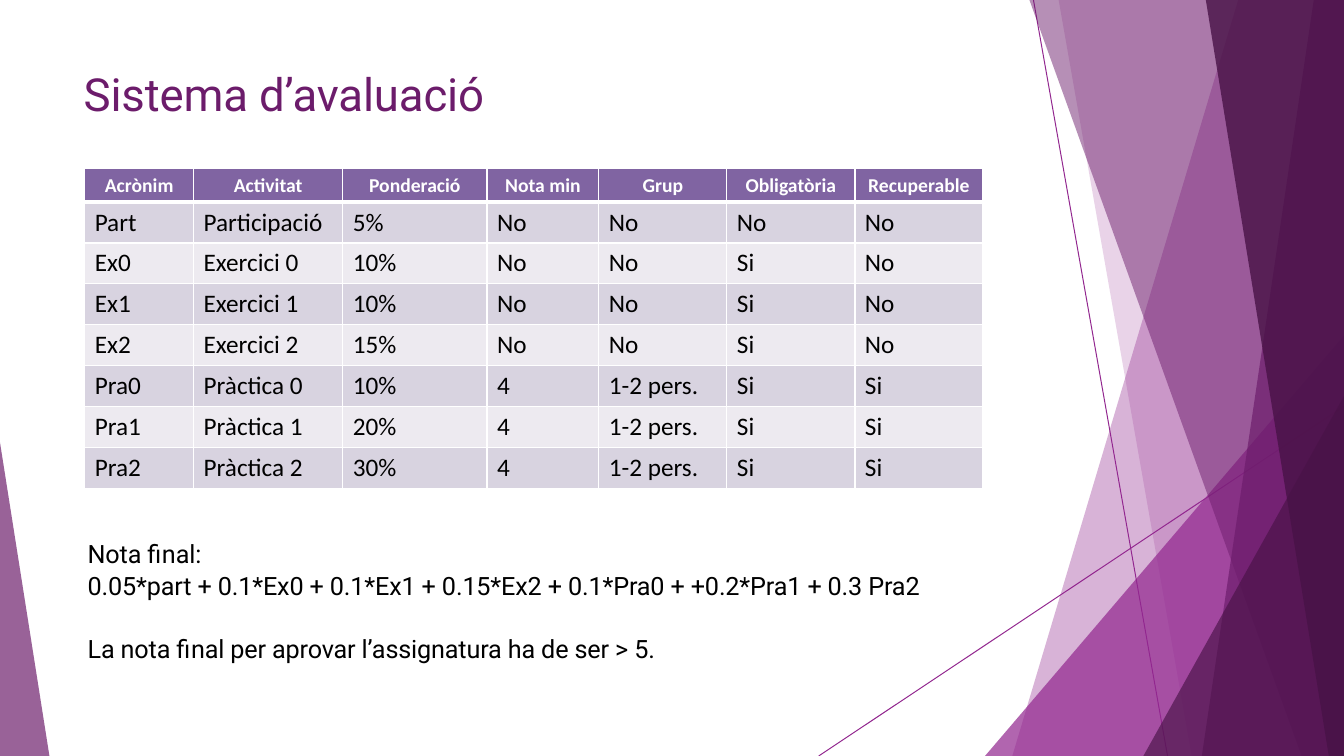
from pptx import Presentation
from pptx.dml.color import RGBColor
from pptx.enum import shapes, text
from pptx.oxml import parse_xml
from pptx.oxml.ns import qn, nsdecls
from pptx.util import Inches, Pt


def rgb(code):
    return RGBColor.from_string(code)


def write(par, words, font, size, color, bold=False):
    par.text = words
    run = par.runs[0]
    run.font.name, run.font.size, run.font.bold = font, Pt(size), bold
    run.font.color.rgb = rgb(color)
    return run


W, H = 13.33, 7.5
deck = Presentation()
deck.slide_width, deck.slide_height = Inches(W), Inches(H)
slide = deck.slides.add_slide(deck.slide_layouts[6])

for ends in [(10.25, 0, 11.58, H), (W, 4.03, 8.12, H)]:
    line = slide.shapes.add_connector(shapes.MSO_CONNECTOR.STRAIGHT, *map(Inches, ends))
    line.line.color.rgb = rgb("92278F")
    line.line.width = Pt(0.72)
    line.element.spPr.append(parse_xml(f"<a:effectLst {nsdecls('a')}/>"))

facets = [
    ("92278F", 35, [(W, 0), (12.28, 0), (10.04, H), (W, H)]),
    ("92278F", 20, [(W, 0), (10.5, 0), (11.82, H), (W, H)]),
    ("92278F", 71, [(W, 3.33), (9.77, H), (W, H)]),
    ("6C1C6B", 49, [(W, 0), (10.21, 0), (12.91, H), (W, H)]),
    ("6C1C6B", 69, [(W, 0), (13.03, 0), (11.92, H), (W, H)]),
    ("481246", 80, [(W, 0), (11.96, 0), (13.18, H), (W, H)]),
    ("481246", 65, [(W, 3.93), (11.34, H), (W, H)]),
    ("6C1C6B", 69, [(0, 4.39), (0, H), (0.49, H)]),
]
for color, alpha, points in facets:
    first, *rest = [(Inches(x), Inches(y)) for x, y in points]
    path = slide.shapes.build_freeform(*first)
    path.add_line_segments(rest, close=True)
    facet = path.convert_to_shape()
    facet.shadow.inherit = False
    facet.line.fill.background()
    facet.fill.solid()
    facet.fill.fore_color.rgb = rgb(color)
    tint = facet.element.spPr.find(".//" + qn("a:srgbClr"))
    tint.append(parse_xml(f'<a:alpha {nsdecls("a")} val="{alpha * 1000}"/>'))

notes = [
    ("Nota final:", 1),
    ("0.05*part + 0.1*Ex0 + 0.1*Ex1 + 0.15*Ex2 + 0.1*Pra0 + +0.2*Pra1 + 0.3 Pra2", 1),
    ("La nota final per aprovar l’assignatura ha de ser > 5.", 24),
]
blocks = [
    ((0.82, 0.65, 4.03, 0.57), 32.5, "6C1C6B", [("Sistema d’avaluació", 1.1)]),
    ((0.86, 5.33, 8.88, 1.9), 18, "000000", notes),
]
for place, size, color, lines in blocks:
    frame = slide.shapes.add_textbox(*map(Inches, place)).text_frame
    frame.word_wrap = True
    frame.margin_left = frame.margin_right = frame.margin_bottom = 0
    frame.margin_top = Inches(0.01)
    for i, (words, gap) in enumerate(lines):
        par = frame.add_paragraph() if i else frame.paragraphs[0]
        run = write(par, words, "Roboto", size, color)
        run.font._element.set("spc", "-10")
        par.space_before = Pt(gap)
        par._p.get_or_add_pPr().set("marL", str(Inches(0.01)))

rows = [
    ("Acrònim", "Activitat", "Ponderació", "Nota min", "Grup", "Obligatòria", "Recuperable"),
    ("Part", "Participació", "5%", "No", "No", "No", "No"),
    ("Ex0", "Exercici 0", "10%", "No", "No", "Si", "No"),
    ("Ex1", "Exercici 1", "10%", "No", "No", "Si", "No"),
    ("Ex2", "Exercici 2", "15%", "No", "No", "Si", "No"),
    ("Pra0", "Pràctica 0", "10%", "4", "1-2 pers.", "Si", "Si"),
    ("Pra1", "Pràctica 1", "20%", "4", "1-2 pers.", "Si", "Si"),
    ("Pra2", "Pràctica 2", "30%", "4", "1-2 pers.", "Si", "Si"),
]
wide = [1.08, 1.48, 1.43, 1.11, 1.27, 1.27, 1.27]
place = map(Inches, (0.84, 1.67, sum(wide), 3.17))
grid = slide.shapes.add_table(len(rows), len(wide), *place).table
for col, width in zip(grid.columns, wide):
    col.width = Inches(width)
for r, row in enumerate(rows):
    head = r == 0
    grid.rows[r].height = Inches(0.33 if head else 0.406)
    shade = "8064A2" if head else ("EDEAF0", "D8D3E0")[r % 2]
    for c, words in enumerate(row):
        cell = grid.cell(r, c)
        par = cell.text_frame.paragraphs[0]
        if head:
            write(par, words, "Calibri", 14, "FFFFFF", True)
            par.alignment = text.PP_ALIGN.CENTER
        else:
            write(par, words, "Calibri", 18, "000000")
        props = cell._tc.get_or_add_tcPr()
        for side in "LRTB":
            thick = 3 if (r, side) in [(0, "B"), (1, "T")] else 1
            props.append(parse_xml(
                f'<a:ln{side} {nsdecls("a")} w="{Pt(thick)}"><a:solidFill>'
                f'<a:srgbClr val="FFFFFF"/></a:solidFill></a:ln{side}>'))
        cell.fill.solid()
        cell.fill.fore_color.rgb = rgb(shade)

deck.save("out.pptx")
